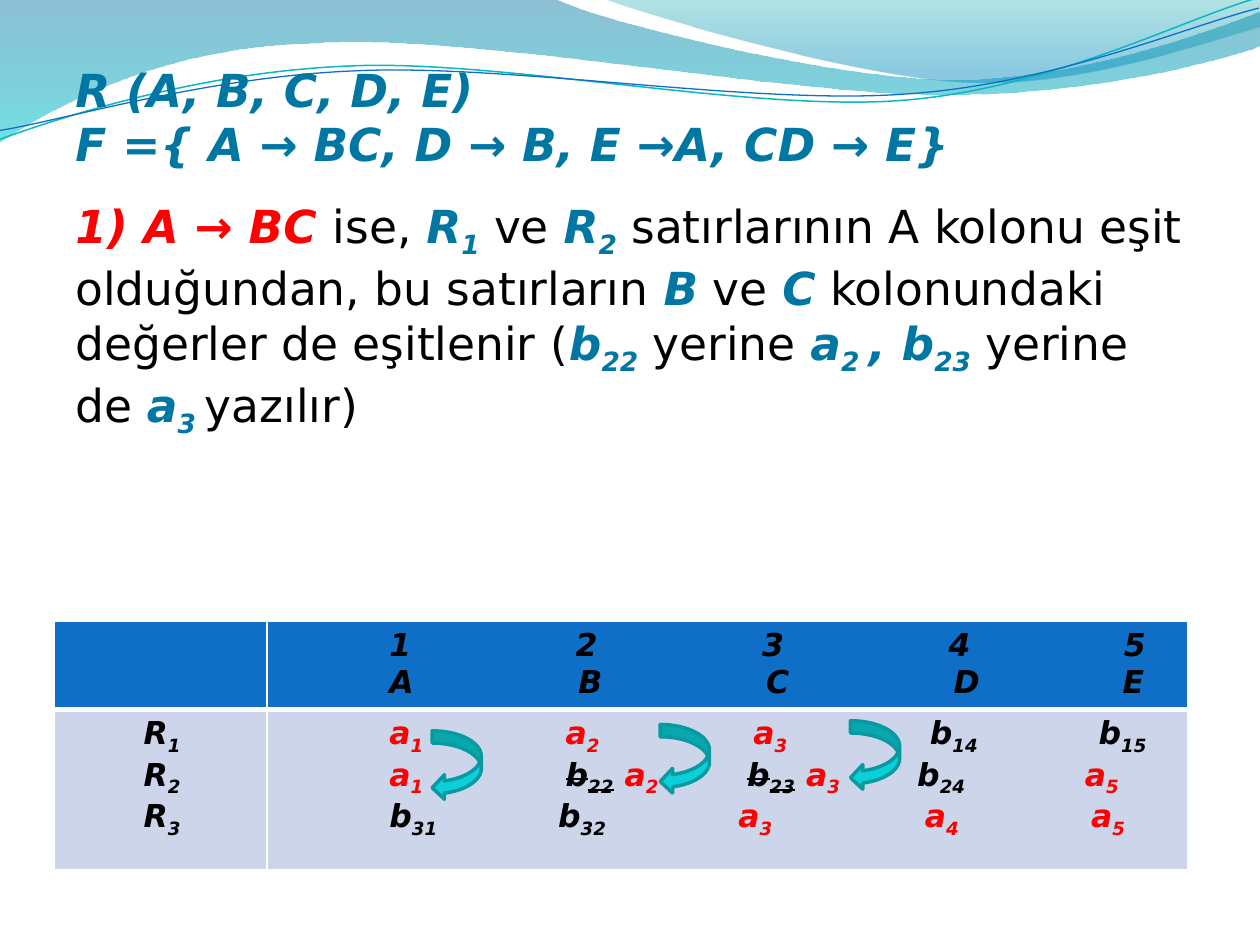
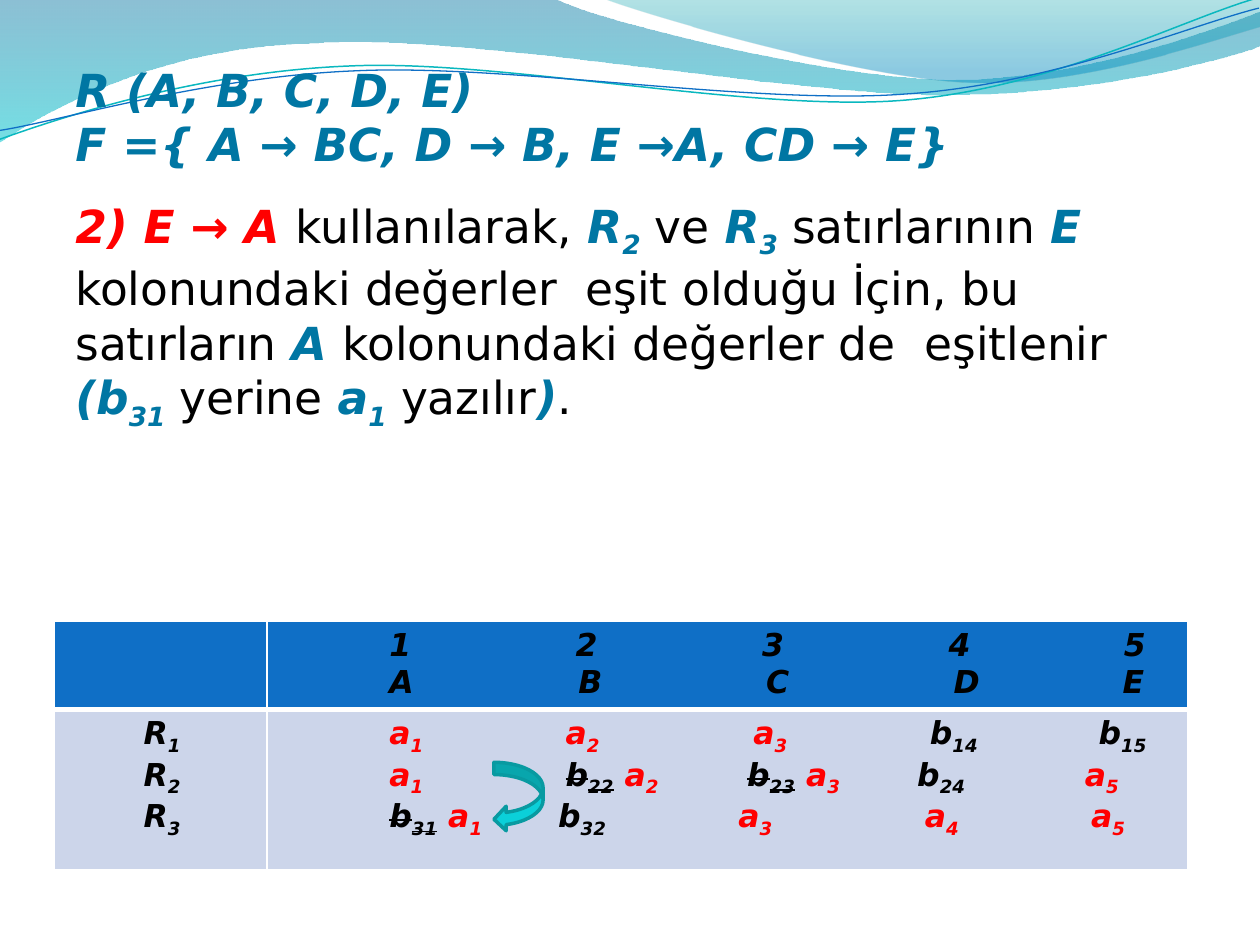
from dataclasses import dataclass
from typing import NamedTuple

import pptx
import pptx.dml.color
import pptx.enum.shapes
import pptx.oxml
import pptx.oxml.ns
import pptx.util

Pt = pptx.util.Pt
qn = pptx.oxml.ns.qn

WIDTH, HEIGHT = pptx.util.Inches(10), pptx.util.Inches(7.5)
COLUMN, ROW = WIDTH / 10, HEIGHT / 7.5
FONT = "DejaVu Sans"
COLOURS = {
    "teal": "0076A3", "red": "FF0000", "black": "000000", "white": "FFFFFF",
    "header": "0F6FC6", "body": "CCD5EA", "arrow": "0BD0D9", "arrow edge": "089AA1",
    "wave top": "0074A1", "wave bottom": "00C6CF",
    "crest top": "00A1A9", "crest bottom": "008BBF", "cyan line": "0AB8BF",
}
LOOKS = {
    "plain": {"bold": False, "italic": False, "colour": "black"},
    "key": {"bold": True, "italic": True, "colour": "teal"},
    "rule": {"bold": True, "italic": True, "colour": "red"},
    "cell": {"bold": True, "italic": True, "colour": "black"},
    "struck": {"bold": True, "italic": True, "colour": "black", "strike": True},
}


class Term(NamedTuple):
    """Words in one look, with an optional subscript after them."""
    words: str
    sub: str = ""
    look: str = "plain"


class Stop(NamedTuple):
    position: float
    colour: str
    opacity: int


class Point(NamedTuple):
    x: float
    y: float


@dataclass
class Wave:
    """Start point, then steps: one point for a line, three for a curve."""
    start: tuple
    steps: list
    stops: tuple = ()
    line: str = ""
    weight: float = 0
    rotation: float = 0


@dataclass
class Line:
    """A line of text, with its tab stops in columns."""
    terms: list
    tabs: tuple = ()
    before: float = 0
    after: float = 0


@dataclass
class ChaseStep:
    explanation: list
    last_row: list
    arrows: list


WAVES = [
    Wave((0, 0), [
        [(4.4, -0.01)],
        [(4.76, 0.17), (6.64, 0.63), (7.58, 0.63)],
        [(8.53, 0.63), (9.58, 0.26), (10, 0.09)],
        [(10.01, 0.36)],
        [(9.83, 0.44), (8.7, 0.76), (7.46, 0.75)],
        [(6.22, 0.75), (3.82, 0.28), (2.57, 0.34)],
        [(1.29, 0.36), (0.46, 0.83), (-0.01, 1.13)],
    ], stops=(Stop(0, "wave top", 45), Stop(1, "wave bottom", 55))),
    Wave((4.79, -0.01), [
        [(5.09, 0.11), (6.82, 0.62), (7.69, 0.65)],
        [(8.56, 0.69), (9.61, 0.32), (10, 0.21)],
        [(10, 0)],
    ], stops=(Stop(0, "crest top", 30), Stop(0.8, "crest bottom", 45))),
    Wave((-0.02, 0.87), [
        [(0.47, 0.72), (1.58, 0.41), (2.78, 0.42)],
        [(3.96, 0.42), (5.91, 0.93), (7.12, 0.9)],
        [(8.32, 0.87), (9.4, 0.36), (10, 0.22)],
    ], line="cyan line", weight=0.85, rotation=357.3),
    Wave((-0.02, 0.8), [
        [(0.46, 0.75), (1.64, 0.45), (2.83, 0.46)],
        [(4.03, 0.46), (5.96, 0.88), (7.16, 0.85)],
        [(8.35, 0.83), (9.42, 0.42), (10.01, 0.3)],
    ], line="header", weight=0.75, rotation=357.3),
]


def key(words: str, sub: str = "") -> Term:
    return Term(words, sub, "key")


def known(sub: str, lead: str = "\t") -> Term:
    """A distinguished symbol such as a1."""
    return Term(lead + "a", sub, "rule")


def unknown(sub: str, lead: str = "\t", look: str = "cell") -> Term:
    """A nondistinguished symbol such as b14."""
    return Term(lead + "b", sub, look)


def replaced(old: str, new: str, lead: str = "\t") -> list:
    return [Term(lead, look="cell"), unknown(old, "", "struck"), known(new, " ")]


SCHEMA = [
    Line([key("R (A, B, C, D, E)")]),
    Line([key("F ={ A → BC, D → B, E →A, CD → E}")], after=10),
]
HEADINGS = [
    Line([Term("1\t2\t3\t4\t5", look="cell")], (1.48, 2.96, 4.44, 5.83)),
    Line([Term("A\tB\tC\tD\tE", look="cell")], (1.5, 2.99, 4.48, 5.82)),
]
ROW_NAMES = [Line([Term("R", str(number), "cell")]) for number in (1, 2, 3)]
FIRST_ROWS = [
    Line([known("1", ""), known("2"), known("3"), unknown("14"), unknown("15")],
         (1.4, 2.89, 4.29, 5.63)),
    Line([known("1", ""), *replaced("22", "2"), *replaced("23", "3"),
          unknown("24"), known("5")], (1.4, 2.84, 4.19, 5.52)),
]
LAST_ROW_TABS = (1.34, 2.77, 4.25, 5.57)
LAST_ROW_END = [unknown("32"), known("3"), known("4"), known("5")]

STEPS = [
    ChaseStep(
        [Term("1) A → BC ", look="rule"), Term("ise, "), key("R", "1"), Term(" ve "),
         key("R", "2"),
         Term(" satırlarının A kolonu eşit olduğundan, bu satırların "),
         key("B"), Term(" ve "), key("C"), Term(" kolonundaki değerler de eşitlenir ("),
         key("b", "22"), Term(" yerine "), key("a", "2 "), key(", b", "23"),
         Term(" yerine de "), key("a", "3 "), Term("yazılır)")],
        [unknown("31", "")],
        [Point(5.24, 5.75), Point(6.75, 5.72), Point(3.43, 5.8)]),
    ChaseStep(
        [Term("2) E → A ", look="rule"), Term("kullanılarak, "), key("R", "2"),
         Term(" ve "), key("R", "3"), Term(" satırlarının "), key("E "),
         Term("kolonundaki değerler  eşit olduğu İçin, bu satırların "), key("A "),
         Term("kolonundaki değerler de  eşitlenir "), key("(b", "31"),
         Term(" yerine "), key("a", "1"), Term(" yazılır"), key(")"), Term(".")],
        replaced("31", "1", ""),
        [Point(3.92, 6.05)]),
]


def rgb(name: str) -> pptx.dml.color.RGBColor:
    return pptx.dml.color.RGBColor.from_string(COLOURS[name])


def place(x: float, y: float, columns: float, rows: float) -> tuple:
    return tuple(round(share) for share in
                 (x * COLUMN, y * ROW, columns * COLUMN, rows * ROW))


def bend(shape, steps: list) -> None:
    """Turn each three straight segments of a curved step into one Bézier."""
    segments = iter(list(shape._element.iter(qn("a:lnTo"))))
    for step in steps:
        first, *others = [next(segments) for _ in step]
        if others:
            first.tag = qn("a:cubicBezTo")
        for other in others:
            first.append(other[0])
            other.getparent().remove(other)


def draw_wave(slide, wave: Wave) -> None:
    x, y = wave.start
    builder = slide.shapes.build_freeform(round(x * COLUMN), round(y * ROW))
    builder.add_line_segments(
        [(round(x * COLUMN), round(y * ROW)) for step in wave.steps for x, y in step],
        close=bool(wave.stops))
    shape = builder.convert_to_shape()
    bend(shape, wave.steps)
    shape.rotation = wave.rotation
    shape.shadow.inherit = False
    if not wave.stops:
        shape.fill.background()
        shape.line.color.rgb = rgb(wave.line)
        shape.line.width = Pt(wave.weight)
        return
    shape.line.fill.background()
    shape.fill.gradient()
    shape.fill.gradient_angle = 270
    for target, stop in zip(shape.fill.gradient_stops, wave.stops):
        target.position = stop.position
        target.color.rgb = rgb(stop.colour)
    colours = shape._element.spPr.iter(qn("a:srgbClr"))
    for colour, stop in zip(colours, wave.stops):
        colour.append(pptx.oxml.parse_xml(
            f'<a:alpha {pptx.oxml.ns.nsdecls("a")} val="{stop.opacity * 1000}"/>'))


def add_run(paragraph, text: str, look: str, size: float, lowered: bool) -> None:
    run = paragraph.add_run()
    run.text = text
    style = LOOKS[look]
    values = {"name": FONT, "size": Pt(size),
              "bold": style["bold"], "italic": style["italic"]}
    for name, value in values.items():
        setattr(run.font, name, value)
    run.font.color.rgb = rgb(style["colour"])
    properties = run._r.get_or_add_rPr()
    if lowered:
        properties.set("baseline", "-25000")
    if style.get("strike"):
        properties.set("strike", "sngStrike")


def set_tabs(paragraph, tabs: tuple) -> None:
    stops = "".join(f'<a:tab pos="{round(tab * COLUMN)}" algn="l"/>' for tab in tabs)
    paragraph._p.get_or_add_pPr().append(pptx.oxml.parse_xml(
        f'<a:tabLst {pptx.oxml.ns.nsdecls("a")}>{stops}</a:tabLst>'))


def write(frame, lines: list, size: float) -> None:
    for index, line in enumerate(lines):
        paragraph = frame.add_paragraph() if index else frame.paragraphs[0]
        if line.before:
            paragraph.space_before = Pt(line.before)
        if line.after:
            paragraph.space_after = Pt(line.after)
        if line.tabs:
            set_tabs(paragraph, line.tabs)
        for term in line.terms:
            if term.words:
                add_run(paragraph, term.words, term.look, size, False)
            if term.sub:
                add_run(paragraph, term.sub, term.look, size, True)


def set_borders(cell, weights: dict) -> None:
    properties = cell._tc.get_or_add_tcPr()
    for index, (side, weight) in enumerate(weights.items()):
        properties.insert(index, pptx.oxml.parse_xml(
            f'<a:{side} {pptx.oxml.ns.nsdecls("a")} w="{Pt(weight)}"><a:solidFill>'
            f'<a:srgbClr val="{COLOURS["white"]}"/></a:solidFill></a:{side}>'))


def draw_tableau(slide, last_row: list) -> None:
    table = slide.shapes.add_table(2, 2, *place(0.43, 4.93, 9, 1.95)).table
    for column, share in zip(table.columns, (1.69, 7.31)):
        column.width = round(share * COLUMN)
    for row, share in zip(table.rows, (0.68, 1.27)):
        row.height = round(share * ROW)
    symbols = [*FIRST_ROWS, Line(last_row + LAST_ROW_END, LAST_ROW_TABS)]
    contents = [[[], HEADINGS], [ROW_NAMES, symbols]]
    fills = ("header", "body")
    borders = ({"lnL": 1, "lnR": 1, "lnT": 1, "lnB": 3},
               {"lnL": 1, "lnR": 1, "lnT": 3, "lnB": 1})
    for row, (fill, weights) in enumerate(zip(fills, borders)):
        for column, indent in enumerate((0.71, 0.97)):
            cell = table.cell(row, column)
            cell.fill.solid()
            cell.fill.fore_color.rgb = rgb(fill)
            cell.margin_left = round(indent * COLUMN)
            set_borders(cell, weights)
            write(cell.text_frame, contents[row][column], 18)


def draw_arrow(slide, corner: Point) -> None:
    arrow = slide.shapes.add_shape(
        pptx.enum.shapes.MSO_SHAPE.CURVED_LEFT_ARROW, *place(*corner, 0.39, 0.55))
    arrow.shadow.inherit = False
    arrow.fill.solid()
    arrow.fill.fore_color.rgb = rgb("arrow")
    arrow.line.color.rgb = rgb("arrow edge")
    arrow.line.width = Pt(2)


def draw_step(slide, step: ChaseStep) -> None:
    for wave in WAVES:
        draw_wave(slide, wave)
    frame = slide.shapes.add_textbox(*place(0.5, 0.44, 9, 4.25)).text_frame
    frame.word_wrap = True
    write(frame, [*SCHEMA, Line(step.explanation, before=5.6)], 26)
    draw_tableau(slide, step.last_row)
    for corner in step.arrows:
        draw_arrow(slide, corner)


def main() -> None:
    deck = pptx.Presentation()
    deck.slide_width, deck.slide_height = WIDTH, HEIGHT
    for step in STEPS:
        draw_step(deck.slides.add_slide(deck.slide_layouts[6]), step)
    deck.save("out.pptx")


if __name__ == "__main__":
    main()
